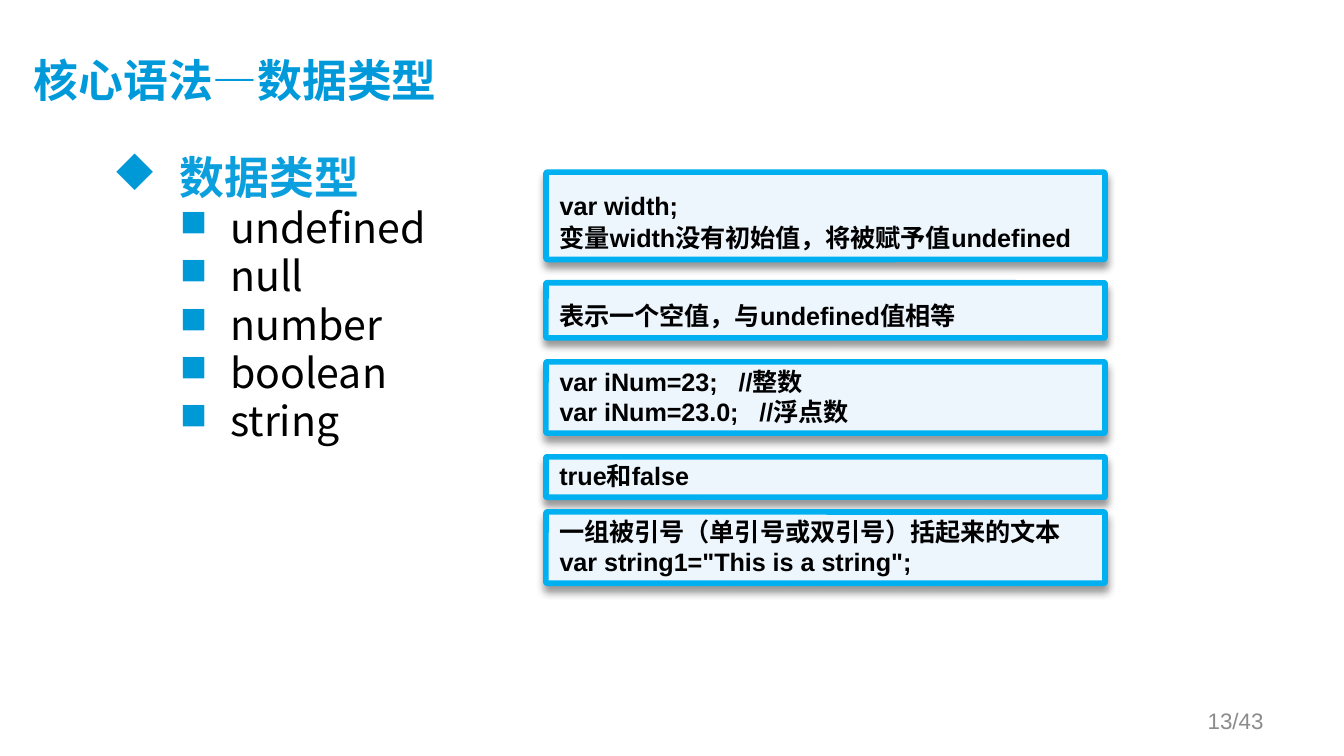
from lxml import etree
from pptx import Presentation
from pptx.dml.color import RGBColor
from pptx.enum.shapes import MSO_SHAPE
from pptx.enum.text import MSO_ANCHOR, PP_ALIGN
from pptx.oxml import parse_xml
from pptx.oxml.ns import qn
from pptx.util import Pt

ROUND_RECT = MSO_SHAPE.ROUNDED_RECTANGLE
TOP, MIDDLE, BOTTOM = MSO_ANCHOR.TOP, MSO_ANCHOR.MIDDLE, MSO_ANCHOR.BOTTOM
LEFT, RIGHT = PP_ALIGN.LEFT, PP_ALIGN.RIGHT
SANS, CJK = "Arial", "Noto Sans CJK SC"
C = {"title": "009ADA", "heading": "0B9FDD", "bullet": "0099D8", "text": "000000",
     "fill": "EDF5FD", "line": "00B0F0", "page": "8C8C8C"}
SHADOW = (
    '<a:effectLst xmlns:a="http://schemas.openxmlformats.org/drawingml/2006/main">'
    '<a:outerShdw blurRad="50800" dist="38100" dir="5400000" rotWithShape="0">'
    '<a:srgbClr val="000000"><a:alpha val="40000"/></a:srgbClr>'
    '</a:outerShdw></a:effectLst>')


def add_text(tf, text, size=13.5, font=SANS, color="text", bold=False, align=LEFT,
             spacing=None, before=0, level=0, bullet=None, bullet_size=100,
             margin=0, hanging=0):
    p = tf.paragraphs[0]
    if p.runs:
        p = tf.add_paragraph()
        p.space_before = Pt(before)
    p.alignment, p.level = align, level
    if spacing:
        p.line_spacing = spacing
    if bullet:
        pPr = p._p.get_or_add_pPr()
        pPr.set("marL", str(Pt(margin)))
        pPr.set("indent", str(-Pt(hanging)))
        clr = etree.SubElement(pPr, qn("a:buClr"))
        etree.SubElement(clr, qn("a:srgbClr"), val=C["bullet"])
        etree.SubElement(pPr, qn("a:buSzPct"), val=str(bullet_size * 1000))
        etree.SubElement(pPr, qn("a:buFont"), typeface="Wingdings", charset="2")
        etree.SubElement(pPr, qn("a:buChar"), char=bullet)
    r = p.add_run()
    r.text = text
    r.font.size, r.font.bold, r.font.name = Pt(size), bold, font
    r.font.color.rgb = RGBColor.from_string(C[color])
    etree.SubElement(r._r.get_or_add_rPr(), qn("a:ea"), typeface=CJK)


def add_box(s, x, y, w, h, anchor=TOP):
    tf = s.shapes.add_textbox(Pt(x), Pt(y), Pt(w), Pt(h)).text_frame
    tf.word_wrap, tf.vertical_anchor = True, anchor
    return tf


prs = Presentation()
prs.slide_width, prs.slide_height = Pt(720), Pt(405)
s = prs.slides.add_slide(prs.slide_layouts[6])

# Title
tf = add_box(s, 18, 16.5, 649, 55.5, MIDDLE)
tf.margin_left = tf.margin_top = 0
add_text(tf, "核心语法—数据类型", size=24, font=CJK, color="title", bold=True)

# Bulleted list of types
tf = add_box(s, 53.3, 80, 611, 267)
add_text(tf, "数据类型", size=24, font=CJK, color="heading", bold=True, spacing=0.9,
         bullet="u", margin=36, hanging=36)
for name in ("undefined", "null", "number", "boolean", "string"):
    add_text(tf, name, size=22, font=CJK, spacing=0.9, before=2.1, level=1,
             bullet="n", bullet_size=90, margin=63, hanging=27)

# Explanation boxes: top, height, line pitch, lines
boxes = [
    (92.2, 46.8, 17, ["var width;", "变量width没有初始值，将被赋予值undefined"]),
    (151.5, 29.5, 16, ["表示一个空值，与undefined值相等"]),
    (193.9, 38.2, 16, ["var iNum=23;   //整数", "var iNum=23.0;   //浮点数"]),
    (244.8, 21.6, 16, ["true和false"]),
    (274.3, 38.2, 16, ["一组被引号（单引号或双引号）括起来的文本",
                       'var string1="This is a string";']),
]
for top, height, pitch, lines in boxes:
    sp = s.shapes.add_shape(ROUND_RECT, Pt(292.5), Pt(top), Pt(299.5), Pt(height))
    sp.adjustments[0] = 0.02
    sp.fill.solid()
    sp.fill.fore_color.rgb = RGBColor.from_string(C["fill"])
    sp.line.color.rgb = RGBColor.from_string(C["line"])
    sp.line.width = Pt(3)
    sp._element.spPr.append(parse_xml(SHADOW))
    tf = sp.text_frame
    tf.word_wrap, tf.vertical_anchor = True, BOTTOM
    tf.margin_right = 0
    for line in lines:
        add_text(tf, line, bold=True, spacing=Pt(pitch))

# Page number
tf = add_box(s, 516, 375, 168, 21.6, MIDDLE)
add_text(tf, "13/43", size=12, color="page", align=RIGHT)

prs.save("out.pptx")
